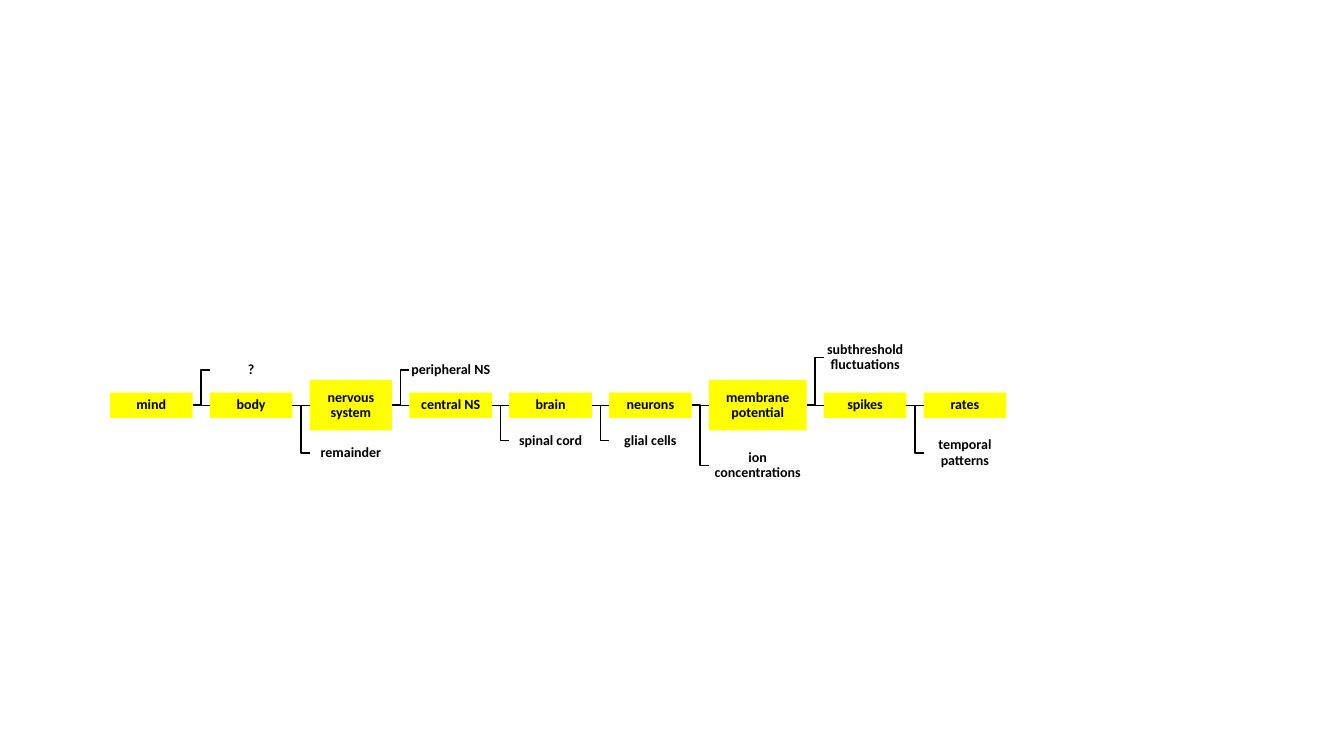
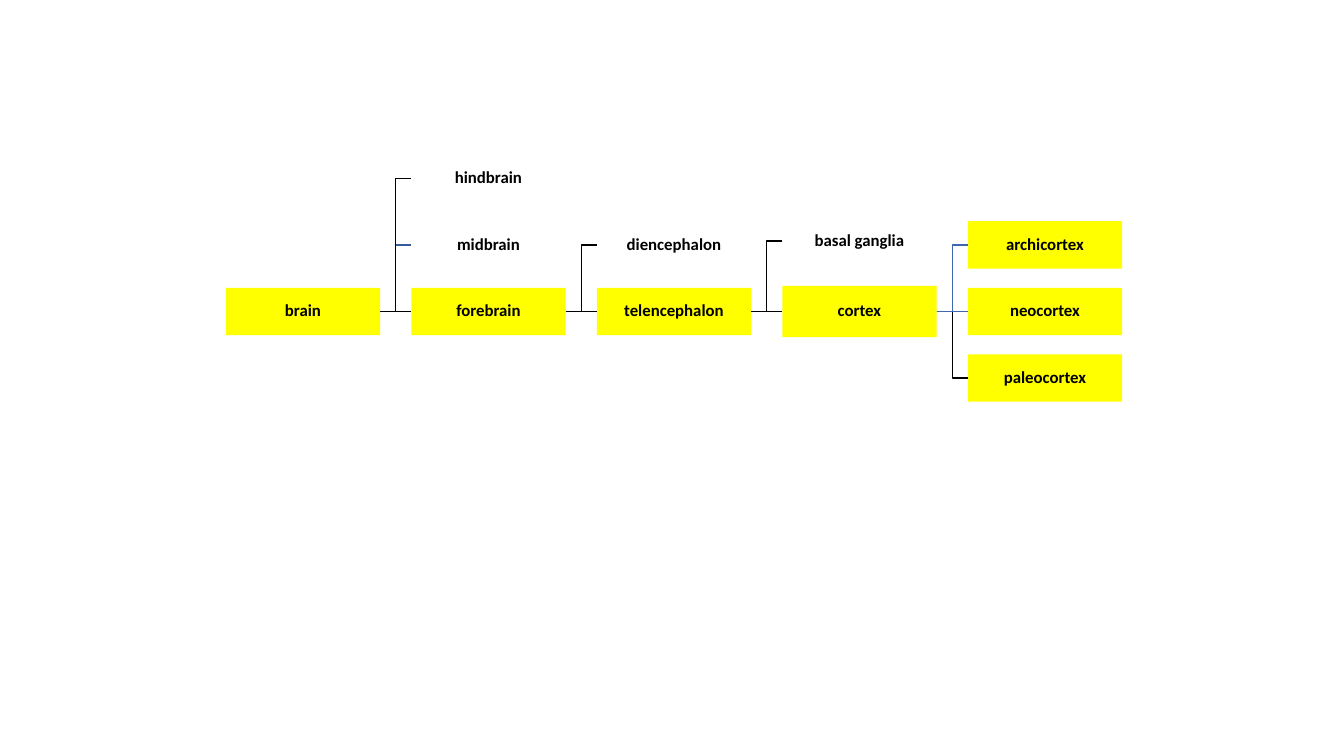
from lxml.etree import SubElement
from pptx import Presentation
from pptx.dml.color import RGBColor
from pptx.enum.shapes import MSO_CONNECTOR, MSO_SHAPE
from pptx.enum.text import MSO_ANCHOR, PP_ALIGN
from pptx.oxml.ns import qn
from pptx.util import Inches, Pt

BLACK = RGBColor(0x00, 0x00, 0x00)
WHITE = RGBColor(0xFF, 0xFF, 0xFF)
YELLOW = RGBColor(0xFF, 0xFF, 0x00)
BLUE = RGBColor(0x3E, 0x67, 0xB2)
DARK_BLUE = RGBColor(0x36, 0x5B, 0x9D)

LEFT, RIGHT = 1, 3  # connection sites of a rectangle

# Each column: labels above the spine (nearest first), label on it, labels below.
MIND_TO_RATES = {
    "columns": [
        ([], "mind", []),
        (["?"], "body", []),
        ([], "nervous system", ["remainder"]),
        (["peripheral NS"], "central NS", []),
        ([], "brain", ["spinal cord"]),
        ([], "neurons", ["glial cells"]),
        ([], "membrane potential", ["ion concentrations"]),
        (["subthreshold fluctuations"], "spikes", []),
        ([], "rates", ["temporal patterns"]),
    ],
    "left": 1.09, "spine": 4.02, "col_gap": 0.17, "row_gap": 0.1,
    "width": 0.82, "widths": {"membrane potential": 0.97},
    "height": 0.25,
    "heights": dict.fromkeys(
        ["nervous system", "membrane potential", "ion concentrations",
         "subthreshold fluctuations", "temporal patterns"], 0.5),
    "size": 10, "highlights": [], "line_colors": {},
}
BRAIN_TO_CORTEX = {
    "columns": [
        ([], "brain", []),
        (["midbrain", "hindbrain"], "forebrain", []),
        (["diencephalon"], "telencephalon", []),
        (["basal ganglia"], "cortex", []),
        (["archicortex"], "neocortex", ["paleocortex"]),
    ],
    "left": 2.24, "spine": 3.09, "col_gap": 0.31, "row_gap": 0.19,
    "width": 1.53, "widths": {},
    "height": 0.47, "heights": {"basal ganglia": 0.51, "cortex": 0.51},
    "size": 12, "highlights": ["archicortex", "paleocortex"],
    "line_colors": {"midbrain": DARK_BLUE, "archicortex": BLUE, "neocortex": BLUE},
}


def add_box(slide, label, left, middle, width, height, fill, size):
    sp = slide.shapes.add_shape(
        MSO_SHAPE.RECTANGLE, Inches(left), Inches(middle - height / 2),
        Inches(width), Inches(height))
    sp.shadow.inherit = False
    sp.fill.solid()
    sp.fill.fore_color.rgb = fill
    sp.line.fill.background()
    tf = sp.text_frame
    frame = {"word_wrap": True, "vertical_anchor": MSO_ANCHOR.MIDDLE}
    frame |= {f"margin_{side}": Inches(0.01)
              for side in ("left", "right", "top", "bottom")}
    for name, value in frame.items():
        setattr(tf, name, value)
    p = tf.paragraphs[0]
    p.alignment, p.line_spacing = PP_ALIGN.CENTER, 0.9
    r = p.add_run()
    r.text = label
    for name, value in {"name": "Calibri", "size": Pt(size), "bold": True}.items():
        setattr(r.font, name, value)
    r.font.color.rgb = BLACK
    return sp


def add_branch(slide, parent, child, color):
    cxn = slide.shapes.add_connector(MSO_CONNECTOR.ELBOW, 0, 0, 0, 0)
    cxn.begin_connect(parent, RIGHT)
    cxn.end_connect(child, LEFT)
    cxn.line.width = Pt(1)
    cxn.line.color.rgb = color
    SubElement(cxn._element.spPr, qn("a:effectLst"))


def stack(main, labels, direction, tree):
    """Yield each label with its middle, going away from the spine."""
    def height(label):
        return tree["heights"].get(label, tree["height"])

    middle, previous = tree["spine"], main
    for label in labels:
        middle += direction * ((height(previous) + height(label)) / 2 + tree["row_gap"])
        yield label, middle
        previous = label


def add_tree(slide, tree):
    left, parent = tree["left"], None
    for above, main, below in tree["columns"]:
        width = tree["widths"].get(main, tree["width"])
        nodes = [*stack(main, above, -1, tree), *stack(main, below, 1, tree),
                 (main, tree["spine"])]
        for label, middle in nodes:
            marked = label == main or label in tree["highlights"]
            box = add_box(slide, label, left, middle, width,
                          tree["heights"].get(label, tree["height"]),
                          YELLOW if marked else WHITE, tree["size"])
            if parent is not None:
                add_branch(slide, parent, box, tree["line_colors"].get(label, BLACK))
        parent = box  # the spine box comes last
        left += width + tree["col_gap"]


def main():
    prs = Presentation()
    prs.slide_width, prs.slide_height = Inches(13.33), Inches(7.5)
    blank = prs.slide_layouts[6]
    for tree in (MIND_TO_RATES, BRAIN_TO_CORTEX):
        add_tree(prs.slides.add_slide(blank), tree)
    prs.save("out.pptx")


if __name__ == "__main__":
    main()
